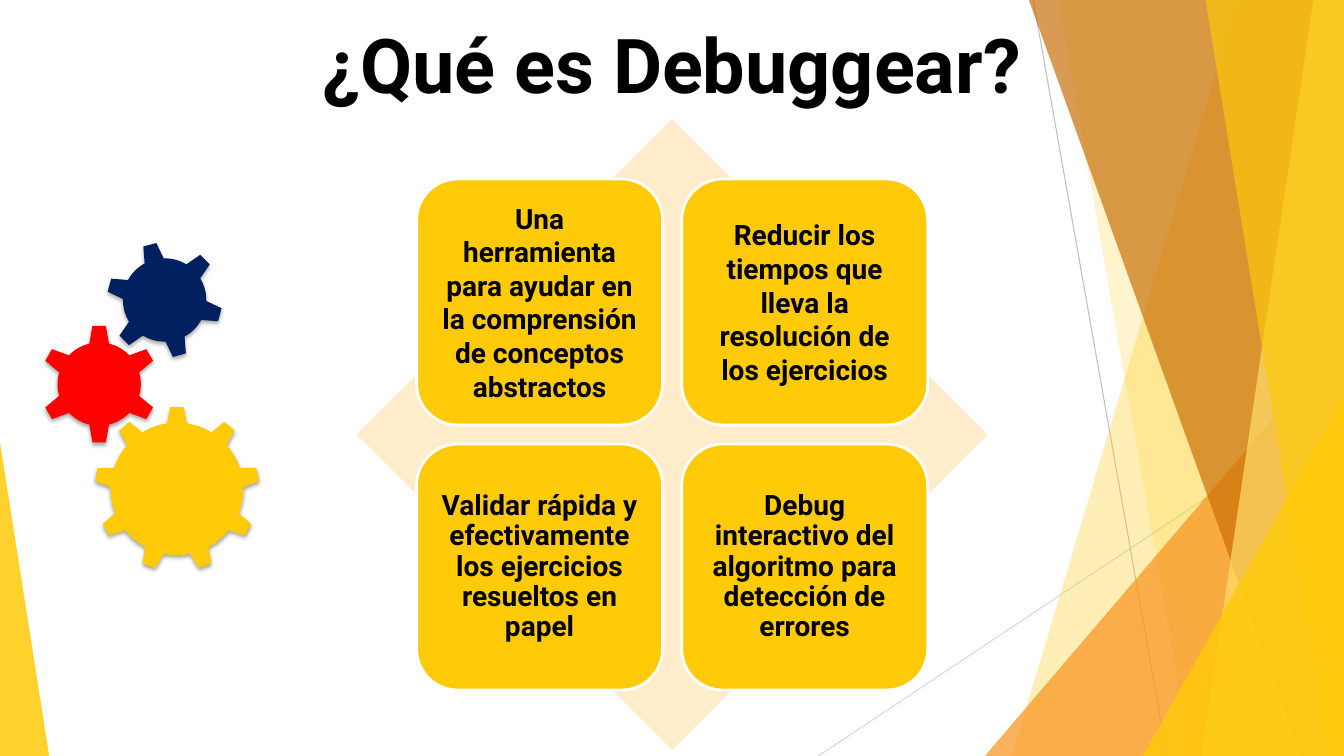
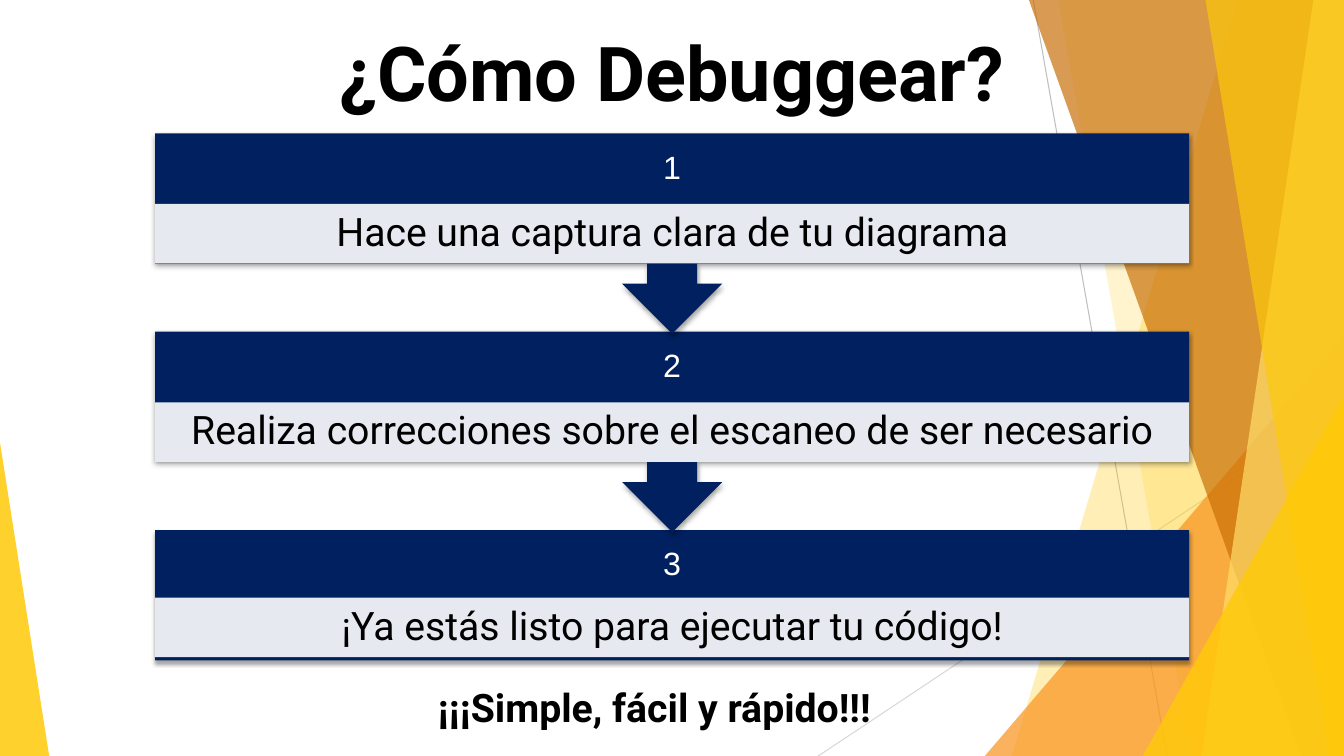
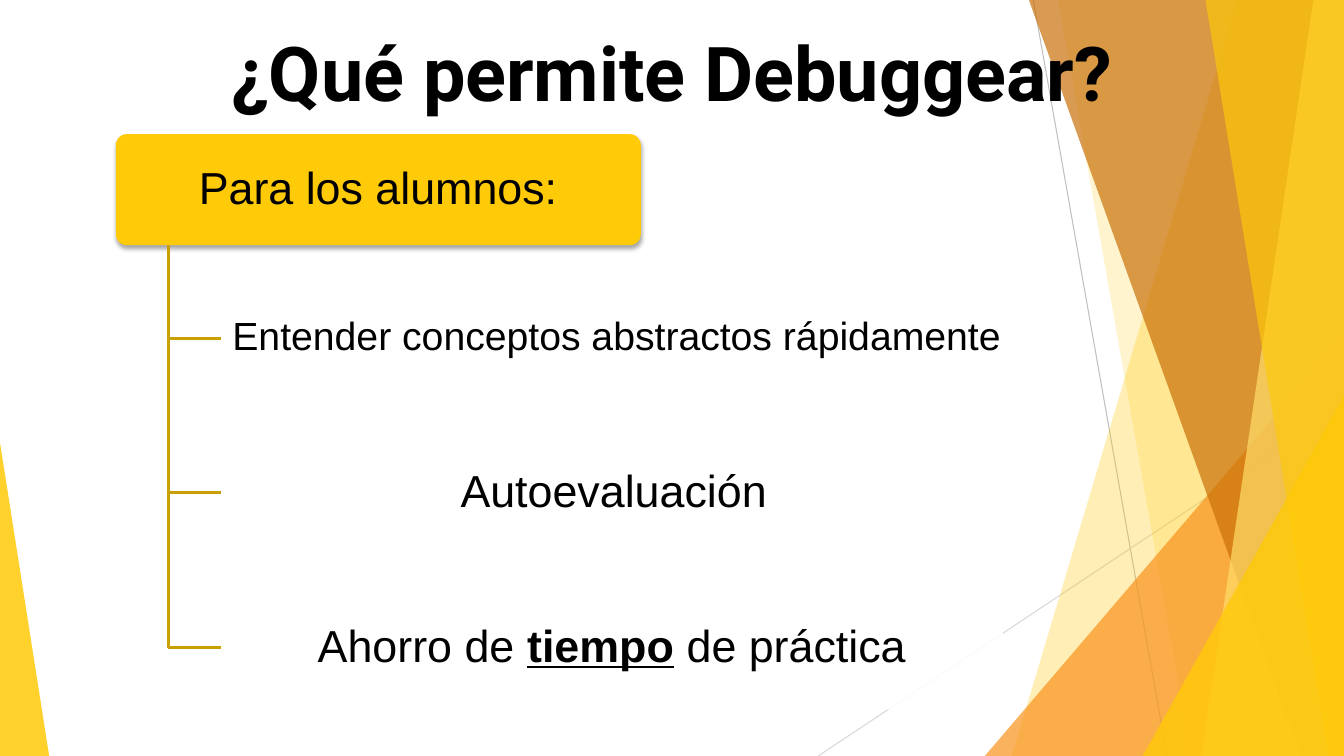
import math

import lxml.etree
import pptx
import pptx.dml.color
import pptx.enum.shapes
import pptx.enum.text
import pptx.oxml.ns
import pptx.util

Cm = pptx.util.Cm
Pt = pptx.util.Pt
RGB = pptx.dml.color.RGBColor
KIND = pptx.enum.shapes.MSO_SHAPE
ANCHOR = pptx.enum.text.MSO_ANCHOR
qn = pptx.oxml.ns.qn

WIDE, HIGH = 33.87, 19.05
BLACK = RGB(0x00, 0x00, 0x00)
WHITE = RGB(0xFF, 0xFF, 0xFF)
GOLD = RGB(0xFF, 0xCA, 0x08)
PALE = RGB(0xFF, 0xDE, 0x6A)
CREAM = RGB(0xFF, 0xEC, 0xCA)
ORANGE = RGB(0xF8, 0x93, 0x1D)
BROWN = RGB(0xC9, 0x6F, 0x06)
OCHRE = RGB(0xCA, 0x9F, 0x03)
NAVY = RGB(0x00, 0x20, 0x60)
RED = RGB(0xFF, 0x00, 0x00)
GREY = RGB(0xBF, 0xBF, 0xBF)
SILVER = RGB(0xD8, 0xD8, 0xD8)

TITLE = {"name": "Roboto", "size": Pt(54), "bold": True}
CELL = {"name": "Roboto", "size": Pt(20), "bold": True}
NUMBER = {"name": "Arial", "size": Pt(23)}
STEP = {"name": "Roboto", "size": Pt(28)}
CLOSE = {"name": "Roboto", "size": Pt(28), "bold": True}
ITEM = {"name": "Arial", "size": Pt(32)}
SMALL = {"name": "Arial", "size": Pt(28)}
STRESS = {"bold": True, "underline": True}


def paint(shape, color, alpha=100, edge=None, shade=False):
    """Fill a shape, with opacity in percent and an optional edge or shadow."""
    shape.shadow.inherit = False
    shape.fill.solid()
    shape.fill.fore_color.rgb = color
    props = shape._element.spPr
    if alpha < 100:
        tone = props.find(".//" + qn("a:srgbClr"))
        lxml.etree.SubElement(tone, qn("a:alpha"), val=str(alpha * 1000))
    if edge:
        shape.line.color.rgb = edge
        shape.line.width = Pt(2)
    else:
        shape.line.fill.background()
    if shade:
        cast = lxml.etree.SubElement(
            props.find(qn("a:effectLst")), qn("a:outerShdw"),
            blurRad=str(Pt(3.1)), dist=str(Pt(1.8)), dir="5400000",
            algn="ctr", rotWithShape="0")
        tone = lxml.etree.SubElement(cast, qn("a:srgbClr"), val="000000")
        lxml.etree.SubElement(tone, qn("a:alpha"), val="35000")
    return shape


def block(slide, kind, box, color, adjust=(), **look):
    shape = slide.shapes.add_shape(kind, *map(Cm, box))
    for index, value in enumerate(adjust):
        shape.adjustments[index] = value
    return paint(shape, color, **look)


def outline(slide, points, color, **look):
    spots = [(Cm(x), Cm(y)) for x, y in points]
    pen = slide.shapes.build_freeform(*spots[0])
    pen.add_line_segments(spots[1:], close=True)
    return paint(pen.convert_to_shape(), color, **look)


def rule(slide, start, end, color, width):
    line = slide.shapes.add_connector(
        pptx.enum.shapes.MSO_CONNECTOR.STRAIGHT, *map(Cm, start + end))
    line.line.color.rgb = color
    line.line.width = Pt(width)
    lxml.etree.SubElement(line._element.spPr, qn("a:effectLst"))
    return line


def write(shape, text, style, color=BLACK, inset=(0.25, 0.13, 0.25, 0.13),
          anchor=ANCHOR.MIDDLE, space=0.9):
    """Write centred text: a string, or a list of (string, extra style)."""
    frame = shape.text_frame
    layout = dict(zip(
        ("margin_left", "margin_top", "margin_right", "margin_bottom"),
        map(Cm, inset)), word_wrap=True, vertical_anchor=anchor)
    for name, value in layout.items():
        setattr(frame, name, value)
    para = frame.paragraphs[0]
    para.alignment = pptx.enum.text.PP_ALIGN.CENTER
    para.line_spacing = space
    for part, extra in [(text, {})] if isinstance(text, str) else text:
        run = para.add_run()
        run.text = part
        run.font.color.rgb = color
        for name, value in {**style, **extra}.items():
            setattr(run.font, name, value)


def label(slide, box, text, style, **look):
    shape = slide.shapes.add_textbox(*map(Cm, box))
    write(shape, text, style, anchor=ANCHOR.TOP, space=1.0, **look)


def backdrop(slide):
    rule(slide, (26.04, 0), (29.41, HIGH), GREY, 0.75)
    rule(slide, (WIDE, 10.24), (20.62, HIGH), SILVER, 0.75)

    def band(top, foot, color, alpha):
        """Fill from a slanted left side to the right edge of the slide."""
        outline(slide, [(top, 0), (WIDE, 0), (WIDE, HIGH), (foot, HIGH)],
                color, alpha=alpha)

    def wedge(left, top, right, apex, color, alpha):
        block(slide, KIND.ISOSCELES_TRIANGLE,
              (left, top, right - left, HIGH - top), color, [apex], alpha=alpha)

    band(31.19, 25.5, GOLD, 29)
    band(26.67, 30.02, GOLD, 20)
    wedge(24.82, 8.46, WIDE, 1, ORANGE, 71)
    band(25.93, 32.79, BROWN, 69)
    band(33.1, 30.28, PALE, 69)
    band(30.38, 33.48, GOLD, 65)
    wedge(28.8, 9.98, WIDE, 1, GOLD, 80)
    wedge(0, 11.15, 1.24, 0, GOLD, 85)


def start(deck, title, top=0.53):
    slide = deck.slides.add_slide(deck.slide_layouts[6])
    backdrop(slide)
    width = 28
    label(slide, ((WIDE - width) / 2, top, width, 2.57), title, TITLE)
    return slide


def gear(slide, center, body, rim, teeth, turn, color):
    """Draw a gear whose first tooth points at turn degrees."""
    root, tip, steps = 0.25 / body, 0.17 / rim, 8
    pitch = math.tau / teeth
    polar = []
    for tooth in range(teeth):
        mid = math.radians(turn) + tooth * pitch
        polar += [(body, mid - root), (rim, mid - tip), (rim, mid + tip)]
        polar += [(body, mid + root + (pitch - 2 * root) * step / steps)
                  for step in range(steps)]
    x, y = center
    outline(slide, [(x + r * math.cos(a), y + r * math.sin(a))
                    for r, a in polar], color, shade=True)


def gears(slide, left, top):
    gear(slide, (left + 3.46, top + 6.25), 1.67, 2.07, 9, -90, GOLD)
    gear(slide, (left + 1.5, top + 3.61), 1.05, 1.48, 6, -90, RED)
    gear(slide, (left + 3.15, top + 1.49), 1.05, 1.45, 6, -45, NAVY)


def matrix(slide, left, top, size, texts):
    block(slide, KIND.DIAMOND, (left, top, size, size), CREAM)
    side, gap = 6.2, 0.48
    edge = (size - 2 * side - gap) / 2
    for index, text in enumerate(texts):
        row, col = divmod(index, 2)
        box = (left + edge + col * (side + gap),
               top + edge + row * (side + gap), side, side)
        cell = block(slide, KIND.ROUNDED_RECTANGLE, box, GOLD, [0.167],
                     edge=WHITE)
        write(cell, text, CELL, inset=[0.2] * 4, space=0.9 if row else 1.0)


def steps(slide, left, top, width, texts):
    pitch, body, panel = 5, 3.28, 1.5
    for index, text in reversed(list(enumerate(texts))):
        y = top + index * pitch
        if index == len(texts) - 1:
            kind, high, adjust, drop = KIND.RECTANGLE, body, (), 1.7
        else:
            kind, high, drop = KIND.DOWN_ARROW_CALLOUT, 5.05, body - panel
            adjust = (0.25, 0.25, 0.25, 0.65)
        head = block(slide, kind, (left, y, width, high), NAVY, adjust,
                     shade=True)
        write(head, str(index + 1), NUMBER, WHITE, (0.46, 0, 0.46, panel))
        strip = block(slide, KIND.RECTANGLE, (left, y + drop, width, panel),
                      WHITE, alpha=90)
        write(strip, text, STEP, inset=(0.56, 0.1, 0.56, 0.1))


def tree(slide, left, top, head, items):
    width, high, pitch, tall = 13.23, 2.8, 3.9, 3.12
    root = block(slide, KIND.ROUNDED_RECTANGLE, (left, top, width, high),
                 GOLD, [0.1], shade=True)
    write(root, head, ITEM)
    trunk, stem = left + width / 10, left + width / 5
    first = top + 3.58
    for index, (text, style, span) in enumerate(items):
        y = first + index * pitch
        leaf = block(slide, KIND.ROUNDED_RECTANGLE, (stem, y, span, tall),
                     WHITE, [0.1], alpha=90)
        write(leaf, text, style, inset=[0.1] * 4)
        mid = y + tall / 2
        twig = rule(slide, (trunk, mid), (stem, mid), OCHRE, 2)
        twig.end_connect(leaf, 1)
    rule(slide, (trunk, top + high), (trunk, mid), OCHRE, 2)


def main():
    deck = pptx.Presentation()
    deck.slide_width, deck.slide_height = Cm(WIDE), Cm(HIGH)

    slide = start(deck, "¿Qué es Debuggear?", 0.33)
    matrix(slide, 8.99, 3, 15.9, [
        "Una herramienta para ayudar en la comprensión de conceptos abstractos",
        "Reducir los tiempos que lleva la resolución de los ejercicios",
        "Validar rápida y efectivamente los ejercicios resueltos en papel",
        "Debug interactivo del algoritmo para detección de errores"])
    gears(slide, 1, 6.07)

    slide = start(deck, "¿Cómo Debuggear?")
    steps(slide, 3.91, 3.36, 26.06, [
        "Hace una captura clara de tu diagrama",
        "Realiza correcciones sobre el escaneo de ser necesario",
        "¡Ya estás listo para ejecutar tu código!"])
    label(slide, (0.74, 16.97, 31.5, 1.93), "¡¡¡Simple, fácil y rápido!!!",
          CLOSE, inset=[0.25] * 4)

    slide = start(deck, "¿Qué permite Debuggear?")
    tree(slide, 2.92, 3.38, "Para los alumnos:", [
        ("Entender conceptos abstractos rápidamente", SMALL, 19.94),
        ("Autoevaluación", ITEM, 19.81),
        ([("Ahorro de ", {}), ("tiempo", STRESS), (" de práctica", {})],
         ITEM, 19.71)])

    deck.save("out.pptx")


if __name__ == "__main__":
    main()
